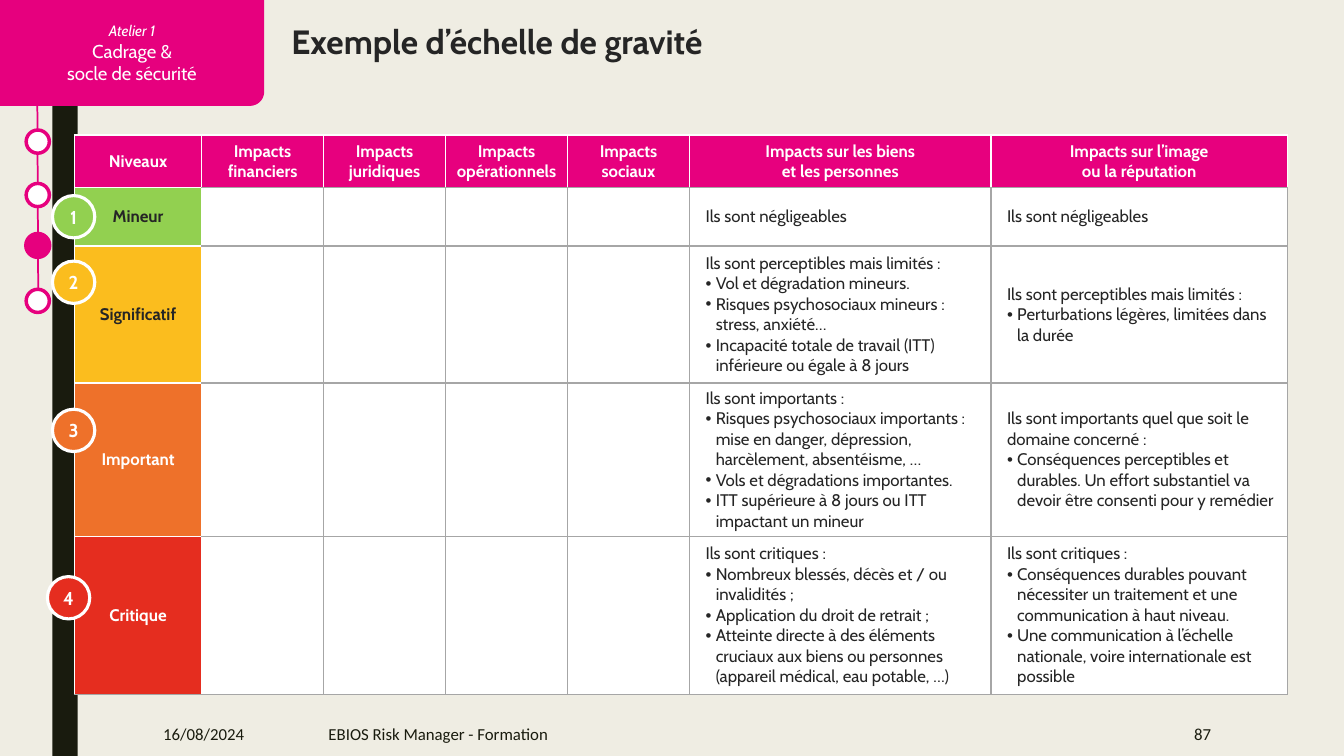
from dataclasses import dataclass
from math import cos, pi, sin

from lxml.etree import SubElement
from pptx import Presentation
from pptx.dml.color import RGBColor
from pptx.enum.shapes import MSO_CONNECTOR as Link, MSO_SHAPE as Kind
from pptx.enum.text import MSO_ANCHOR as Anchor, MSO_AUTO_SIZE as Fit, PP_ALIGN as Align
from pptx.oxml.ns import qn
from pptx.util import Inches, Pt

HUES = {
    "paper": "EFEDE3", "dark": "191B0E", "pink": "E6007E", "head": "E7007E",
    "white": "FFFFFF", "text": "252525", "grid": "A6A6A6",
    "green": "92D050", "amber": "FBBD1E", "orange": "EE712A", "red": "E52D1F",
}


@dataclass
class Level:
    name: str
    hue: str
    ink: str
    height: float
    left: float
    top: float
    goods: list[str]
    image: list[str]


# Severity levels; in each list the first line is plain, the others bulleted
LEVELS = [
    Level("Mineur", "green", "text", 0.58, 0.52, 1.94,
          ["Ils sont négligeables"], ["Ils sont négligeables"]),
    Level("Significatif", "amber", "text", 1.36, 0.52, 2.59,
          ["Ils sont perceptibles mais limités :",
           "Vol et dégradation mineurs.",
           "Risques psychosociaux mineurs : stress, anxiété…",
           "Incapacité totale de travail (ITT) inférieure ou égale à 8 jours"],
          ["Ils sont perceptibles mais limités :",
           "Perturbations légères, limitées dans la durée"]),
    Level("Important", "orange", "white", 1.52, 0.52, 4.06,
          ["Ils sont importants :",
           "Risques psychosociaux importants : mise en danger, dépression, "
           "harcèlement, absentéisme, …",
           "Vols et dégradations importantes.",
           "ITT supérieure à 8 jours ou ITT impactant un mineur"],
          ["Ils sont importants quel que soit le domaine concerné :",
           "Conséquences perceptibles et durables. Un effort substantiel va "
           "devoir être consenti pour y remédier"]),
    Level("Critique", "red", "white", 1.57, 0.47, 5.72,
          ["Ils sont critiques :",
           "Nombreux blessés, décès et / ou invalidités ;",
           "Application du droit de retrait ;",
           "Atteinte directe à des éléments cruciaux aux biens ou personnes "
           "(appareil médical, eau potable, …)"],
          ["Ils sont critiques :",
           "Conséquences durables pouvant nécessiter un traitement et une "
           "communication à haut niveau.",
           "Une communication à l’échelle nationale, voire internationale est possible"]),
]
HEADS = ["Niveaux", "Impacts financiers", "Impacts juridiques", "Impacts opérationnels",
         "Impacts sociaux", "Impacts sur les biens\net les personnes",
         "Impacts sur l’image\nou la réputation"]
WIDTHS = [1.26, 1.21, 1.21, 1.21, 1.21, 2.99, 2.94]


def tint(name: str) -> RGBColor:
    return RGBColor.from_string(HUES[name])


def paint(shape, fill: str, line: str = "", width: float = 0) -> None:
    shape.shadow.inherit = False
    shape.fill.solid()
    shape.fill.fore_color.rgb = tint(fill)
    if line:
        shape.line.color.rgb = tint(line)
        shape.line.width = Pt(width)
    else:
        shape.line.fill.background()


def write(para, text: str, size: float, hue: str, bold: bool = False,
          slant: bool = False, font: str = "Cabin", align=Align.LEFT) -> None:
    para.alignment = align
    for i, part in enumerate(text.split("\n")):
        if i:
            para.add_line_break()
        run = para.add_run()
        run.text = part
        face = run.font
        face.name, face.size, face.bold, face.italic = font, Pt(size), bold, slant
        face.color.rgb = tint(hue)


def pad(box, sides: tuple[float, float, float, float]) -> None:
    left, top, right, low = map(Inches, sides)
    box.margin_left, box.margin_top = left, top
    box.margin_right, box.margin_bottom = right, low


def bullet(para) -> None:
    props = para._p.get_or_add_pPr()
    props.set("marL", str(Inches(0.1)))
    props.set("indent", str(Inches(-0.1)))
    SubElement(props, qn("a:buFont")).set("typeface", "Arial")
    SubElement(props, qn("a:buChar")).set("char", "•")


def dress(cell, fill: str, edges: dict[str, str]) -> None:
    props = cell._tc.get_or_add_tcPr()
    for side in "LRTB":
        line = SubElement(props, qn(f"a:ln{side}"), w=str(Pt(1)))
        solid = SubElement(line, qn("a:solidFill"))
        SubElement(solid, qn("a:srgbClr")).set("val", HUES[edges.get(side, "grid")])
    cell.fill.solid()
    cell.fill.fore_color.rgb = tint(fill)
    cell.vertical_anchor = Anchor.MIDDLE


def disc(slide, left: float, top: float, size: float, fill: str, line: str, width: float):
    shape = slide.shapes.add_shape(
        Kind.OVAL, Inches(left), Inches(top), Inches(size), Inches(size))
    paint(shape, fill, line, width)
    return shape


def draw_rail(slide) -> None:
    bar = slide.shapes.add_shape(Kind.RECTANGLE, Inches(0.52), 0, Inches(0.25), Inches(7.5))
    paint(bar, "dark")
    line = slide.shapes.add_connector(
        Link.STRAIGHT, Inches(0.37), Inches(0.89), Inches(0.38), Inches(3.1))
    line.line.color.rgb = tint("pink")
    line.line.width = Pt(1.25)
    SubElement(line._element.spPr, qn("a:effectLst"))
    for top, fill, width in [(1.29, "white", 2.5), (1.82, "white", 2.5),
                             (2.32, "pink", 3), (2.87, "white", 2.5)]:
        disc(slide, 0.26, top, 0.23, fill, "pink", width)


def draw_tab(slide) -> None:
    wide, high, bend = Inches(2.62), Inches(1.05), Inches(0.14)
    steps = 16
    turns = [pi / 2 * i / steps for i in range(steps + 1)]
    curve = [(wide - bend + bend * cos(t), high - bend + bend * sin(t)) for t in turns]
    path = slide.shapes.build_freeform(0, 0)
    path.add_line_segments([(wide, 0), *curve, (0, high)], close=True)
    tab = path.convert_to_shape()
    paint(tab, "pink")
    frame = tab.text_frame
    frame.word_wrap = True
    frame.vertical_anchor = Anchor.MIDDLE
    for i, text in enumerate(["Atelier 1", "Cadrage &", "socle de sécurité"]):
        para = frame.add_paragraph() if i else frame.paragraphs[0]
        write(para, text, 13.3 if i else 10.7, "white", slant=not i, align=Align.CENTER)


def draw_table(slide) -> None:
    heights = [0.52] + [level.height for level in LEVELS]
    table = slide.shapes.add_table(
        len(heights), len(WIDTHS), Inches(0.74), Inches(1.34),
        Inches(sum(WIDTHS)), Inches(sum(heights))).table
    for col, width in zip(table.columns, WIDTHS):
        col.width = Inches(width)
    for row, height in zip(table.rows, heights):
        row.height = Inches(height)

    # Header row
    for c, head in enumerate(HEADS):
        cell = table.cell(0, c)
        dress(cell, "head", dict.fromkeys("LRT" if c else "LRTB", "white"))
        pad(cell, (0.07, 0, 0.07, 0))
        write(cell.text_frame.paragraphs[0], head, 12, "white", True, align=Align.CENTER)

    # Level rows
    for r, level in enumerate(LEVELS, 1):
        name = table.cell(r, 0)
        dress(name, level.hue, dict.fromkeys("LRT" if r == len(LEVELS) else "LRTB", "white"))
        pad(name, (0.08, 0, 0.08, 0))
        write(name.text_frame.paragraphs[0], level.name, 12, level.ink, True,
              align=Align.CENTER)
        for c in range(1, len(WIDTHS)):
            dress(table.cell(r, c), "white", {"L": "white"} if c == 1 else {})
        for c, lines in [(5, level.goods), (6, level.image)]:
            cell = table.cell(r, c)
            pad(cell, (0.16, 0, 0.07, 0))
            for i, text in enumerate(lines):
                frame = cell.text_frame
                para = frame.add_paragraph() if i else frame.paragraphs[0]
                if i:
                    bullet(para)
                write(para, text, 12, "text")


def draw_marks(slide) -> None:
    for i, level in enumerate(LEVELS, 1):
        mark = disc(slide, level.left, level.top, 0.42, level.hue, "white", 2.25)
        frame = mark.text_frame
        pad(frame, (0, 0, 0, 0))
        frame.vertical_anchor = Anchor.MIDDLE
        write(frame.paragraphs[0], str(i), 13.3, "white", True, align=Align.CENTER)


def draw_title(slide) -> None:
    title = slide.shapes.title
    title.left, title.top = Inches(2.89), Inches(0.21)
    title.width, title.height = Inches(9.97), Inches(0.4)
    frame = title.text_frame
    frame.auto_size = Fit.NONE
    frame.vertical_anchor = Anchor.TOP
    pad(frame, (0, 0, 0, 0))
    write(frame.paragraphs[0], "Exemple d’échelle de gravité", 24, "text", True)


def draw_foot(slide) -> None:
    for left, width, text, align in [
            (1.52, 1.32, "16/08/2024", Align.LEFT),
            (3.16, 6.87, "EBIOS Risk Manager - Formation", Align.LEFT),
            (10.36, 1.75, "87", Align.RIGHT)]:
        box = slide.shapes.add_textbox(Inches(left), Inches(7.06), Inches(width), Inches(0.44))
        frame = box.text_frame
        frame.word_wrap = True
        frame.vertical_anchor = Anchor.MIDDLE
        write(frame.paragraphs[0], text, 12, "dark", font="Calibri", align=align)


def main() -> None:
    deck = Presentation()
    deck.slide_width, deck.slide_height = Inches(13.33), Inches(7.5)
    slide = deck.slides.add_slide(deck.slide_layouts[5])
    slide.background.fill.solid()
    slide.background.fill.fore_color.rgb = tint("paper")
    for draw in (draw_rail, draw_tab, draw_table, draw_marks, draw_title, draw_foot):
        draw(slide)
    deck.save("out.pptx")


if __name__ == "__main__":
    main()
